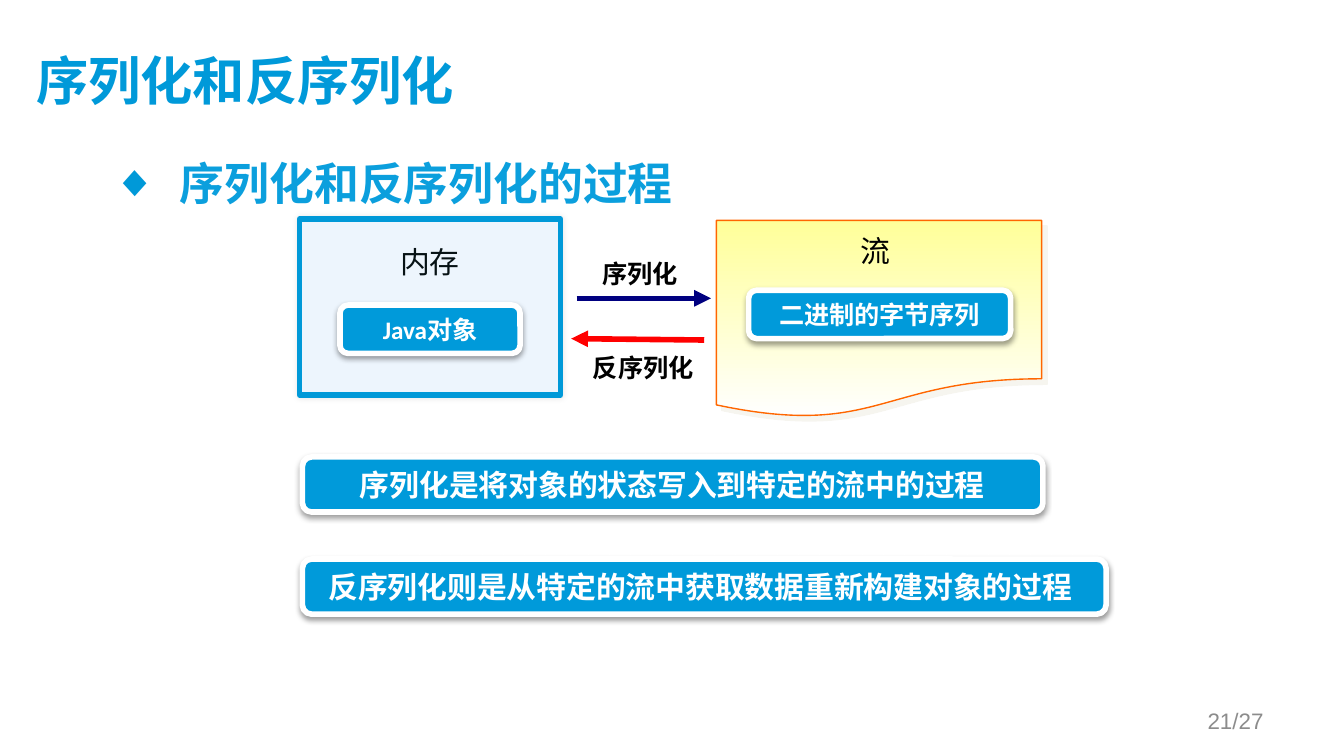
from lxml.etree import SubElement
from pptx import Presentation
from pptx.dml.color import RGBColor
from pptx.enum.shapes import MSO_CONNECTOR, MSO_SHAPE as SHAPE
from pptx.enum.text import MSO_ANCHOR as ANCHOR, PP_ALIGN as ALIGN
from pptx.oxml.ns import qn
from pptx.util import Inches, Pt

CJK = "Noto Sans CJK SC"
TITLE = "序列化和反序列化"
HEADING = "序列化和反序列化的过程"
MEMORY, STREAM = "内存", "流"
PAGE = "21/27"
PILL_SHADOW = ("000000", 38, 3.1, 1.6, 90)
PILLS = [
    ("Java对象", 2.53, 2.27, 1.34, 0.36, 13.5),
    ("二进制的字节序列", 5.57, 2.16, 1.95, 0.36, 13.5),
    ("序列化是将对象的状态写入到特定的流中的过程", 2.25, 3.4, 5.51, 0.41, 16),
    ("反序列化则是从特定的流中获取数据重新构建对象的过程 ", 2.25, 4.16, 5.98, 0.41, 16),
]
ARROWS = [
    ((4.29, 2.22, 5.29, 2.22), "000080"),
    ((5.24, 2.53, 4.25, 2.52), "FF0000"),
]
LABELS = [
    ("序列化", 4.29, 1.87, 0.94, 0.33),
    ("反序列化", 4.24, 2.57, 1.09, 0.33),
]


def rgb(value):
    """Turn a hex string into a colour."""
    return RGBColor.from_string(value)


def write(shape, words, size, color, bold=False, font=CJK, align=ALIGN.CENTER,
          anchor=ANCHOR.TOP, wrap=True, spacing=None):
    """Put one formatted paragraph into a shape and return it."""
    frame = shape.text_frame
    frame.word_wrap, frame.vertical_anchor = wrap, anchor
    paragraph = frame.paragraphs[0]
    paragraph.alignment, paragraph.line_spacing = align, spacing
    run = paragraph.add_run()
    run.text = words
    for key, value in {"size": Pt(size), "bold": bold, "name": font}.items():
        setattr(run.font, key, value)
    run.font.color.rgb = rgb(color)
    east_asian = SubElement(run._r.get_or_add_rPr(), qn("a:ea"))
    east_asian.set("typeface", CJK)
    return paragraph


def add_box(slide, kind, box, line, width, shadow, fill=None):
    """Add an outlined shape with an outer shadow."""
    shape = slide.shapes.add_shape(kind, *map(Inches, box))
    if fill:
        shape.fill.solid()
        shape.fill.fore_color.rgb = rgb(fill)
    shape.line.color.rgb, shape.line.width = rgb(line), Pt(width)
    shape.shadow.inherit = False
    color, alpha, blur, distance, angle = shadow
    effects = shape._element.spPr.find(qn("a:effectLst"))
    outer = SubElement(effects, qn("a:outerShdw"), blurRad=str(Pt(blur)),
                       dist=str(Pt(distance)), dir=str(angle * 60000),
                       algn="ctr", rotWithShape="0")
    tint = SubElement(outer, qn("a:srgbClr"), val=color)
    SubElement(tint, qn("a:alpha"), val=str(alpha * 1000))
    return shape


def add_text(slide, box, *args, **formats):
    """Add a text box holding one paragraph."""
    return write(slide.shapes.add_textbox(*map(Inches, box)), *args, **formats)


def add_heading(slide):
    """Add the diamond-bulleted heading."""
    heading = add_text(slide, (0.74, 1.11, 8.49, 3.71), HEADING, 24, "0B9FDD",
                       bold=True, align=ALIGN.LEFT)
    properties = heading._p.get_or_add_pPr()
    properties.set("marL", str(Inches(0.5)))
    properties.set("indent", str(-Inches(0.5)))
    bullet_color = SubElement(properties, qn("a:buClr"))
    SubElement(bullet_color, qn("a:srgbClr"), val="0099D8")
    SubElement(properties, qn("a:buFont"), typeface="Arial")
    SubElement(properties, qn("a:buChar"), char="◆")


def add_arrow(slide, ends, color):
    """Add a straight arrow pointing at its end."""
    arrow = slide.shapes.add_connector(MSO_CONNECTOR.STRAIGHT, *map(Inches, ends))
    arrow.line.color.rgb, arrow.line.width = rgb(color), Pt(3)
    SubElement(arrow.line._get_or_add_ln(), qn("a:tailEnd"), type="triangle")
    SubElement(arrow._element.spPr, qn("a:effectLst"))


def main():
    """Build the slide and save it."""
    deck = Presentation()
    deck.slide_width = Inches(10)
    deck.slide_height = deck.slide_width * 9 // 16
    slide = deck.slides.add_slide(deck.slide_layouts[5])

    title = slide.shapes.title
    place = {"left": 0.27, "top": 0.23, "width": 8.95, "height": 0.77}
    for key, value in place.items():
        setattr(title, key, Inches(value))
    insets = {"margin_left": 0, "margin_top": 0, "margin_right": 0.1, "margin_bottom": 0.05}
    for key, value in insets.items():
        setattr(title.text_frame, key, Inches(value))
    write(title, TITLE, 28, "0099D9", bold=True, align=ALIGN.LEFT, anchor=ANCHOR.MIDDLE)
    add_heading(slide)

    memory = add_box(slide, SHAPE.ROUNDED_RECTANGLE, (2.23, 1.63, 1.94, 1.31),
                     "0099D8", 3, ("000000", 10, 3, 0, 0), "EDF5FD")
    memory.adjustments[0] = 0
    write(memory, MEMORY, 16, "071215", spacing=1.5)

    stream = add_box(slide, SHAPE.FLOWCHART_DOCUMENT, (5.33, 1.64, 2.42, 1.47),
                     "FF6600", 0.75, ("EEECE1", 50, 0, 4.2, 45))
    stream.fill.gradient()
    stream.fill.gradient_angle = 270
    for stop, color, position in zip(stream.fill.gradient_stops, ("FFFF99", "FFFFFF"), (0, 1)):
        stop.color.rgb, stop.position = rgb(color), position
    add_text(slide, (5.8, 1.68, 1.42, 0.37), STREAM, 16, "000000")

    for words, *box, size in PILLS:
        pill = add_box(slide, SHAPE.ROUNDED_RECTANGLE, box, "FFFFFF", 3, PILL_SHADOW, "009ADA")
        write(pill, words, size, "FFFFFF", bold=True, font="Calibri",
              anchor=ANCHOR.MIDDLE, wrap=False)
    for ends, color in ARROWS:
        add_arrow(slide, ends, color)
    for words, *box in LABELS:
        add_text(slide, box, words, 13.5, "000000", bold=True, wrap=False)
    add_text(slide, (7.17, 5.21, 2.33, 0.3), PAGE, 12, "8C8C8C", font="Arial",
             align=ALIGN.RIGHT, anchor=ANCHOR.MIDDLE)
    deck.save("out.pptx")


if __name__ == "__main__":
    main()
